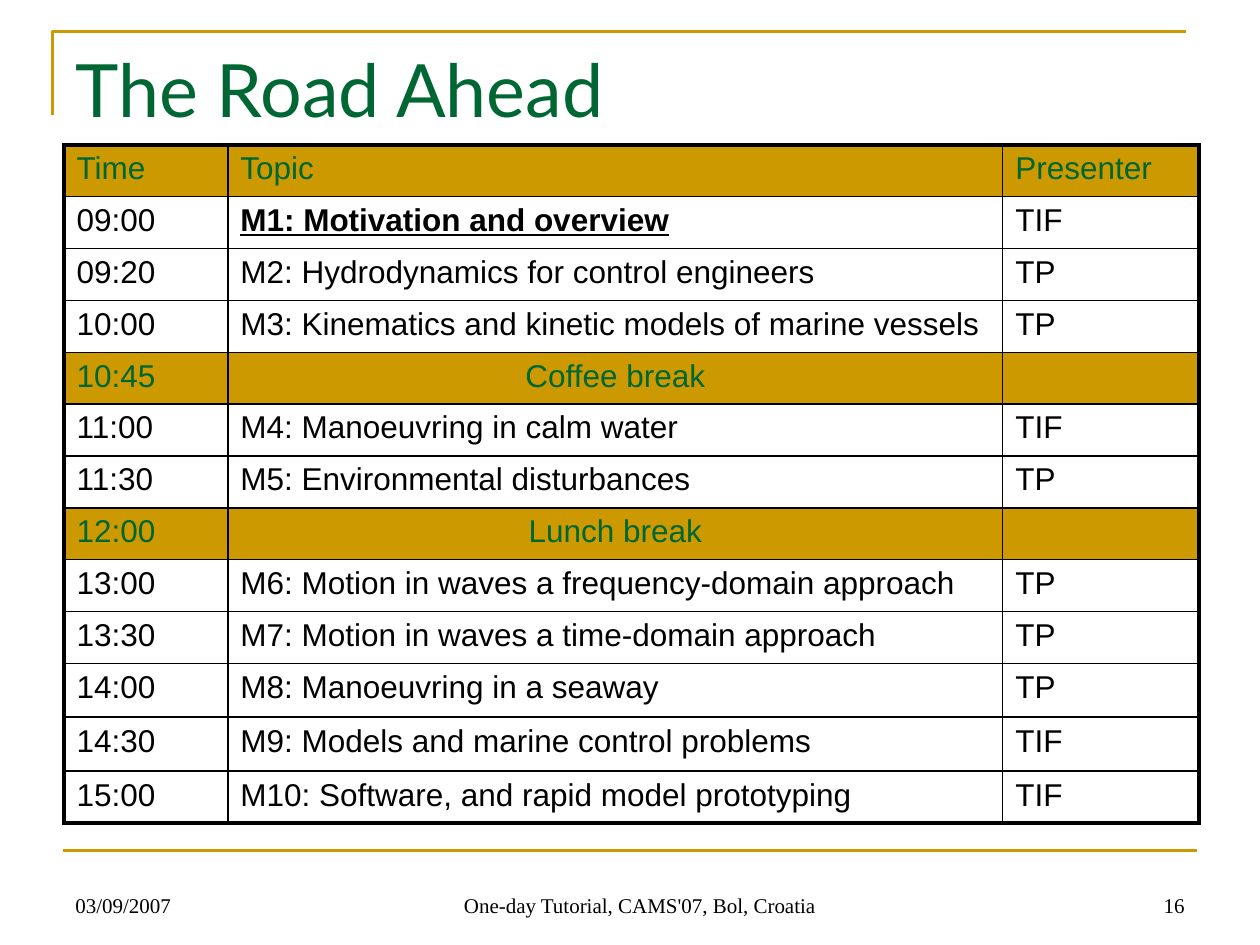
from lxml import etree
from pptx import Presentation
from pptx import util as u
from pptx.dml.color import RGBColor
from pptx.enum import text
from pptx.oxml import ns

# Grid: 120 columns by 90 rows, twelve cells to the inch
CELL = u.Inches(1) // 12
COLUMNS, ROWS = 120, 90
GOLD, GREEN, BLACK = "CC9900", "006633", "000000"
ALIGN = text.PP_ALIGN
THIN, THICK = 1, 2.25

COLUMN_WIDTHS = (15.6, 73.8, 18.7)
ROW_HEIGHT, TALL_ROW_HEIGHT = 4.94, 5.14
TALL_ROWS = (10, 11)
BREAKS = ("Coffee break", "Lunch break")
CURRENT = "M1: Motivation and overview"
SCHEDULE = [
    ("Time", "Topic", "Presenter"),
    ("09:00", CURRENT, "TIF"),
    ("09:20", "M2: Hydrodynamics for control engineers", "TP"),
    ("10:00", "M3: Kinematics and kinetic models of marine vessels", "TP"),
    ("10:45", "Coffee break", ""),
    ("11:00", "M4: Manoeuvring in calm water", "TIF"),
    ("11:30", "M5: Environmental disturbances", "TP"),
    ("12:00", "Lunch break", ""),
    ("13:00", "M6: Motion in waves a frequency-domain approach", "TP"),
    ("13:30", "M7: Motion in waves a time-domain approach", "TP"),
    ("14:00", "M8: Manoeuvring in a seaway", "TP"),
    ("14:30", "M9: Models and marine control problems", "TIF"),
    ("15:00", "M10: Software, and rapid model prototyping", "TIF"),
]


def grid(*cells):
    return [round(cell * CELL) for cell in cells]


def color(hex_value):
    return RGBColor.from_string(hex_value)


def set_all(target, formats):
    for name, value in formats.items():
        setattr(target, name, value)


def write(frame, words, formats, ink, align=ALIGN.LEFT):
    paragraph = frame.paragraphs[0]
    paragraph.alignment = align
    if words:
        run = paragraph.add_run()
        run.text = words
        set_all(run.font, formats)
        run.font.color.rgb = color(ink)


def add_label(slide, box, words, formats, ink, align, anchor):
    frame = slide.shapes.add_textbox(*grid(*box)).text_frame
    set_all(frame, {"word_wrap": True, "vertical_anchor": anchor})
    write(frame, words, formats, ink, align)


def gold_line(shape):
    shape.line.color.rgb = color(GOLD)
    shape.line.width = u.Pt(1.5)


def add_frame(slide, box):
    """Corner rule at the top left and a rule above the footer."""
    left, top, width, height = box
    pen = slide.shapes.build_freeform(*grid(left, top + 8), scale=1.0)
    pen.add_line_segments([grid(left, top), grid(left + width, top)], close=False)
    corner = pen.convert_to_shape()
    corner.shadow.inherit = False
    corner.fill.background()
    gold_line(corner)

    bottom = top + height
    rule = slide.shapes.add_connector(1, *grid(left + 1, bottom, left + 1 + width, bottom))
    gold_line(rule)
    etree.SubElement(rule._element.spPr, ns.qn("a:effectLst"))


def add_title(slide, box):
    formats = {"name": "Lato", "size": u.Pt(42)}
    add_label(slide, box, "The Road Ahead", formats, GREEN, ALIGN.LEFT, text.MSO_ANCHOR.TOP)


def add_footer(slide, box):
    left, top, width, height = box
    formats = {"name": "Times New Roman", "size": u.Pt(12)}
    side, middle = 28, 47.3
    for start, span, words, align in (
        (left, side, "03/09/2007", ALIGN.LEFT),
        (left + 31.3, middle, "One-day Tutorial, CAMS'07, Bol, Croatia", ALIGN.CENTER),
        (left + width - side, side, "16", ALIGN.RIGHT),
    ):
        add_label(slide, (start, top, span, height), words, formats, BLACK, align,
                  text.MSO_ANCHOR.BOTTOM)


def add_borders(cell, widths):
    properties = cell._tc.get_or_add_tcPr()
    for position, (side, width) in enumerate(widths.items()):
        line = etree.Element(ns.qn(f"a:ln{side}"), w=str(u.Pt(width)))
        fill = etree.SubElement(line, ns.qn("a:solidFill"))
        etree.SubElement(fill, ns.qn("a:srgbClr"), val=BLACK)
        properties.insert(position, line)


def add_schedule(slide, left, top):
    heights = [TALL_ROW_HEIGHT if row in TALL_ROWS else ROW_HEIGHT
               for row in range(len(SCHEDULE))]
    box = grid(left, top, sum(COLUMN_WIDTHS), sum(heights))
    last_row, last_column = len(SCHEDULE) - 1, len(COLUMN_WIDTHS) - 1
    table = slide.shapes.add_table(last_row + 1, last_column + 1, *box).table
    set_all(table, {"first_row": False, "horz_banding": False})
    for column, width in zip(table.columns, grid(*COLUMN_WIDTHS)):
        column.width = width
    for row, height in zip(table.rows, grid(*heights)):
        row.height = height

    for r, entry in enumerate(SCHEDULE):
        highlighted = r == 0 or entry[1] in BREAKS
        for c, words in enumerate(entry):
            cell = table.cell(r, c)
            if highlighted:
                cell.fill.solid()
                cell.fill.fore_color.rgb = color(GOLD)
            else:
                cell.fill.background()
            current = words == CURRENT
            formats = {"name": "Arial", "size": u.Pt(18),
                       "bold": current, "underline": current}
            write(cell.text_frame, words, formats, GREEN if highlighted else BLACK,
                  ALIGN.CENTER if words in BREAKS else ALIGN.LEFT)
            # Thick outline, thin inner lines
            outer = {"L": c == 0, "R": c == last_column, "T": r == 0, "B": r == last_row}
            add_borders(cell, {side: THICK if edge else THIN for side, edge in outer.items()})


def main():
    deck = Presentation()
    set_all(deck, {"slide_width": COLUMNS * CELL, "slide_height": ROWS * CELL})
    slide = deck.slides.add_slide(deck.slide_layouts[6])
    add_frame(slide, (5, 3, 108, 78))
    add_footer(slide, (6, 82, 108, 6))
    add_title(slide, (6, 3.6, 108, 15))
    add_schedule(slide, 6.1, 13.8)
    deck.save("out.pptx")


if __name__ == "__main__":
    main()
